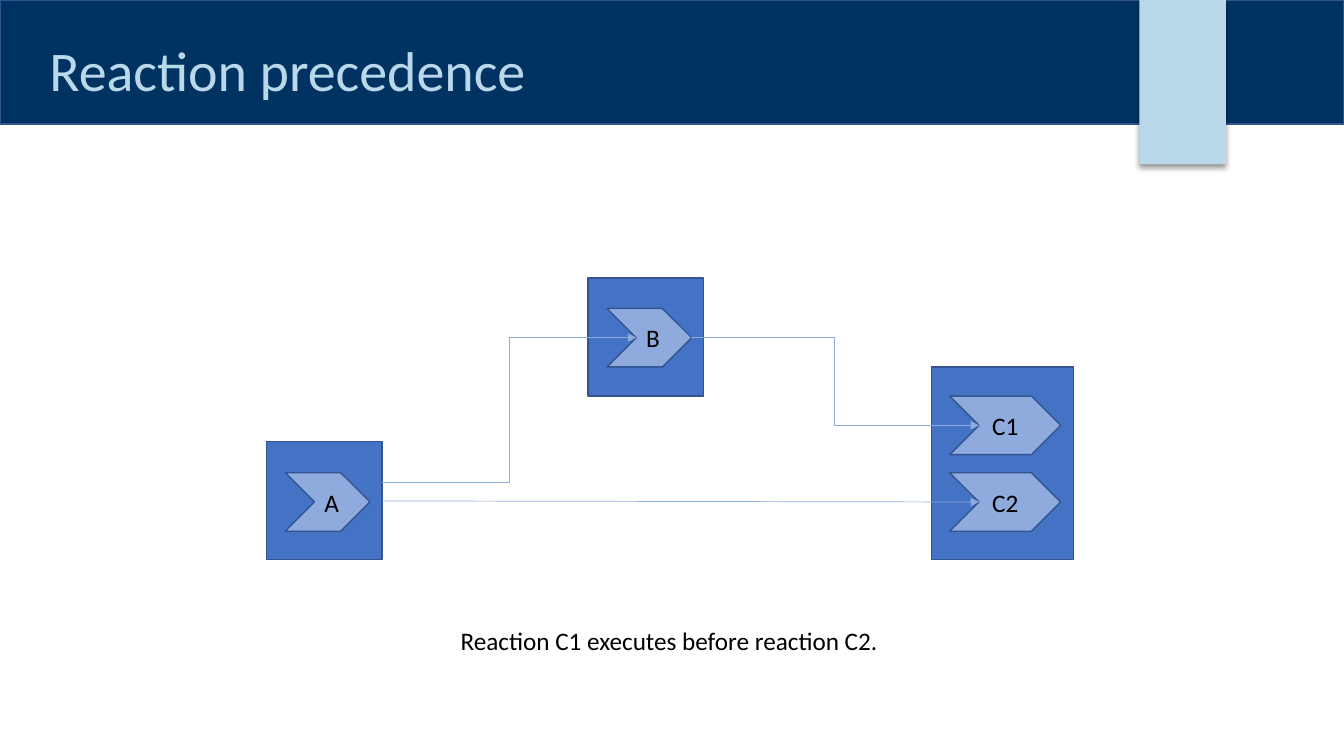
from lxml import etree
from pptx import Presentation, util as u
from pptx.dml.color import RGBColor
from pptx.enum import shapes, text
from pptx.oxml import parse_xml
from pptx.oxml.ns import nsdecls, qn

PX = 9144
FONT = "Calibri"
COLORS = {
    "navy": "003262",
    "sky": "B9D9EB",
    "reactor": "4472C4",
    "reaction": "8FAADC",
    "outline": "325491",
    "ink": "000000",
}


def px(*lengths):
    return [u.Emu(length * PX) for length in lengths]


def rgb(name):
    return RGBColor.from_string(COLORS[name])


def add_run(paragraph, wording, size, color):
    run = paragraph.add_run()
    run.text = wording
    run.font.name = FONT
    run.font.size = u.Pt(size)
    run.font.color.rgb = rgb(color)


def add_block(parent, kind, box, fill, outline=None):
    block = parent.add_shape(kind, *px(*box))
    block.shadow.inherit = False
    block.fill.solid()
    block.fill.fore_color.rgb = rgb(fill)
    if outline:
        block.line.color.rgb = rgb(outline)
        block.line.width = u.Pt(1)
    else:
        block.line.fill.background()
    return block


def add_banner(slide):
    banner = slide.shapes.add_group_shape().shapes
    rect = shapes.MSO_SHAPE.RECTANGLE
    add_block(banner, rect, (0, 0, 1333, 123), "navy", "outline")
    ribbon = add_block(banner, rect, (1130, 0, 86, 163), "sky")
    effects = ribbon.element.spPr.find(qn("a:effectLst"))
    effects.append(parse_xml(
        f'<a:outerShdw {nsdecls("a")} blurRad="{u.Pt(4)}" dist="{u.Pt(3)}" '
        'dir="5400000" algn="t" rotWithShape="0">'
        f'<a:srgbClr val="{COLORS["ink"]}"><a:alpha val="40000"/></a:srgbClr>'
        '</a:outerShdw>'))


def add_heading(slide, wording):
    heading = slide.shapes.title
    heading.element.getparent().append(heading.element)
    heading.left, heading.top, heading.width, heading.height = px(39, 15, 1051, 93)
    frame = heading.text_frame
    frame.auto_size = text.MSO_AUTO_SIZE.NONE
    frame.vertical_anchor = text.MSO_ANCHOR.BOTTOM
    paragraph = frame.paragraphs[0]
    paragraph.alignment = text.PP_ALIGN.LEFT
    paragraph.line_spacing = 0.9
    add_run(paragraph, wording, 40, "sky")


def add_reactor(slide, box):
    add_block(slide.shapes, shapes.MSO_SHAPE.RECTANGLE, box, "reactor", "outline")


def add_reaction(slide, label, left, top, width):
    reaction = add_block(slide.shapes, shapes.MSO_SHAPE.CHEVRON,
                         (left, top, width, 58), "reaction", "outline")
    frame = reaction.text_frame
    frame.vertical_anchor = text.MSO_ANCHOR.MIDDLE
    frame.paragraphs[0].alignment = text.PP_ALIGN.CENTER
    add_run(frame.paragraphs[0], label, 18, "ink")


def add_signal(slide, kind, start, end):
    signal = slide.shapes.add_connector(kind, *px(*start, *end))
    signal.line.color.rgb = rgb("reaction")
    signal.line.width = u.Pt(0.5)
    etree.SubElement(signal.line._get_or_add_ln(), qn("a:tailEnd"), type="triangle")
    etree.SubElement(signal.element.spPr, qn("a:effectLst"))


def add_caption(slide, wording):
    frame = slide.shapes.add_textbox(*px(447, 615, 439, 40)).text_frame
    frame.word_wrap = False
    frame.auto_size = text.MSO_AUTO_SIZE.SHAPE_TO_FIT_TEXT
    add_run(frame.paragraphs[0], wording, 18, "ink")


def main():
    deck = Presentation()
    deck.slide_width, deck.slide_height = px(1333, 750)
    slide = deck.slides.add_slide(deck.slide_layouts.get_by_name("Title Only"))

    add_banner(slide)
    add_heading(slide, "Reaction precedence")

    for reactor in ((264, 438, 115, 117), (583, 276, 115, 117), (924, 364, 141, 191)):
        add_reactor(slide, reactor)
    for reaction in (("A", 283, 469, 84), ("B", 602, 306, 84),
                     ("C1", 942, 393, 110), ("C2", 942, 469, 110)):
        add_reaction(slide, *reaction)

    straight, elbow = shapes.MSO_CONNECTOR.STRAIGHT, shapes.MSO_CONNECTOR.ELBOW
    add_signal(slide, straight, (379, 497), (971, 498))
    add_signal(slide, elbow, (379, 479), (631, 335))
    add_signal(slide, elbow, (685, 335), (971, 422))

    add_caption(slide, "Reaction C1 executes before reaction C2.")
    deck.save("out.pptx")


if __name__ == "__main__":
    main()
